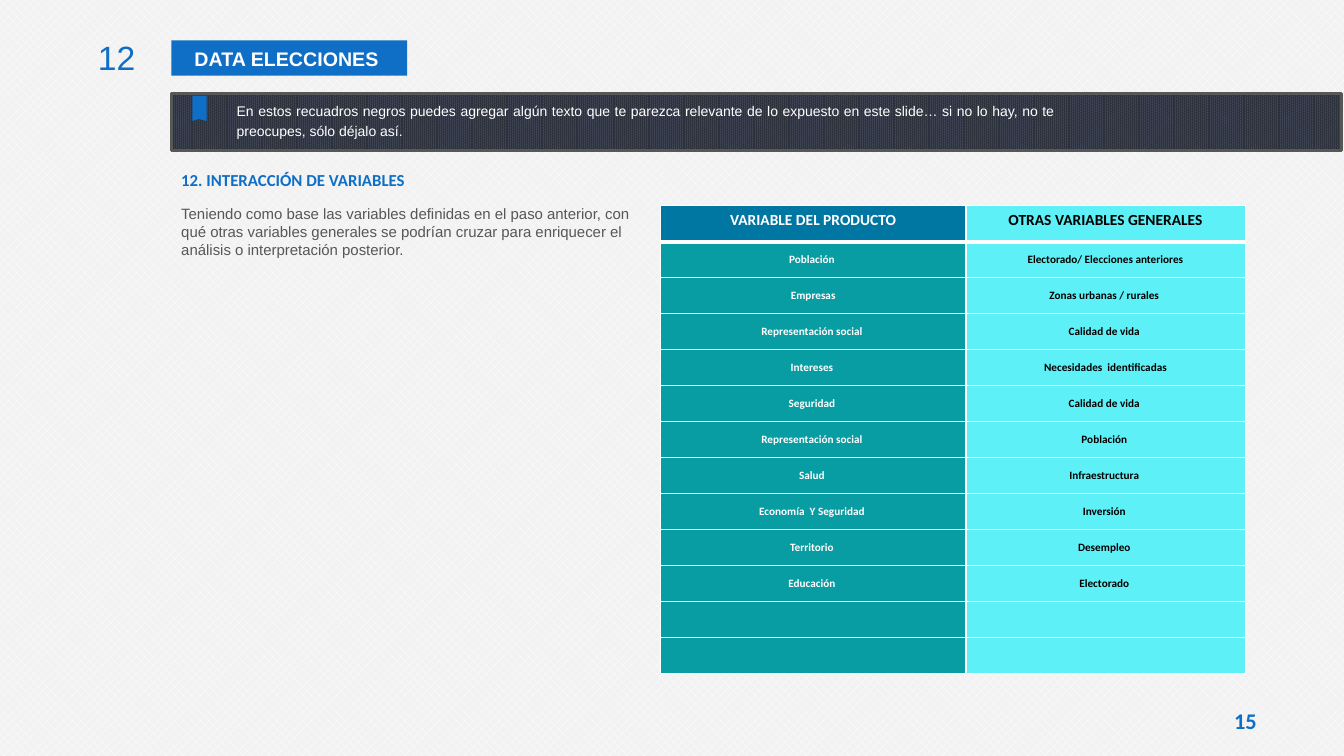
import pptx
import pptx.dml.color
import pptx.enum.dml
import pptx.enum.shapes
import pptx.enum.text
import pptx.oxml
import pptx.oxml.ns
import pptx.util

Pt = pptx.util.Pt
ALIGN = pptx.enum.text.PP_ALIGN
ANCHOR = pptx.enum.text.MSO_ANCHOR
PATTERN = pptx.enum.dml.MSO_PATTERN

COLORS = {
    "blue": "0F6FC6", "white": "FFFFFF", "black": "000000", "gray": "575756",
    "paper": "F2F2F2", "banner": "2D313C", "banner_weave": "444A5A",
    "header": "0076A3", "teal": "089CA3", "cyan": "5EF0F7",
}

TITLE = "DATA ELECCIONES "
SECTION_NUMBER = "12"
PAGE_NUMBER = "15"
BANNER_TEXT = (
    "En estos recuadros negros puedes agregar algún texto que te parezca relevante "
    "de lo expuesto en este slide… si no lo hay, no te preocupes, sólo déjalo así."
)
HEADING = "12. INTERACCIÓN DE VARIABLES"
BODY = (
    "Teniendo como base las variables definidas en el paso anterior, con qué otras "
    "variables generales se podrían cruzar para enriquecer el análisis o "
    "interpretación posterior."
)
VARIABLES = [
    ("VARIABLE DEL PRODUCTO", "OTRAS VARIABLES GENERALES"),
    ("Población ", "Electorado/ Elecciones anteriores"),
    ("Empresas", "Zonas urbanas / rurales "),
    ("Representación social ", "Calidad de vida "),
    ("Intereses ", "Necesidades  identificadas"),
    ("Seguridad ", "Calidad de vida "),
    ("Representación social ", "Población "),
    ("Salud ", "Infraestructura "),
    ("Economía  Y Seguridad ", "Inversión "),
    ("Territorio ", "Desempleo "),
    ("Educación ", "Electorado "),
    ("", ""),
    ("", ""),
]

SLIDE_SIZE = (960, 540)
CONTENT_LEFT = 122.4
BANNER_TOP, BANNER_HEIGHT = 67, 40.3
TABLE_LEFT, TABLE_TOP = 471.8, 147
COLUMN_WIDTHS = (218.2, 199.5)
ROW_HEIGHT = 25.7
BOOKMARK = [(147.6, 68.4), (147.6, 86.4), (141.8, 85), (137.5, 86.4), (137.5, 68.4)]


def rgb(name):
    return pptx.dml.color.RGBColor.from_string(COLORS[name])


def fill_solid(fill, color):
    fill.solid()
    fill.fore_color.rgb = rgb(color)


def fill_pattern(fill, preset, front, back):
    """Fill with a preset pattern, named as in DrawingML."""
    fill.patterned()
    fill.pattern = PATTERN.from_xml(preset)
    fill.fore_color.rgb = rgb(front)
    fill.back_color.rgb = rgb(back)


def write(frame, text, size, color, font="Arial", bold=False, align=ALIGN.LEFT):
    """Put one formatted paragraph in a text frame and return it."""
    paragraph = frame.paragraphs[0]
    paragraph.text = text
    paragraph.alignment = align
    paragraph.font.size = Pt(size)
    paragraph.font.name = font
    paragraph.font.bold = bold
    paragraph.font.color.rgb = rgb(color)
    return paragraph


def add_text(slide, box, *args, **options):
    frame = slide.shapes.add_textbox(*map(Pt, box)).text_frame
    frame.word_wrap = True
    return write(frame, *args, **options)


def set_margins(frame, horizontal, vertical):
    frame.margin_left = frame.margin_right = Pt(horizontal)
    frame.margin_top = frame.margin_bottom = Pt(vertical)


def set_borders(cell, top, bottom):
    """Draw white cell borders, with the top and bottom widths in points."""
    properties = cell._tc.get_or_add_tcPr()
    widths = {"lnL": 1, "lnR": 1, "lnT": top, "lnB": bottom}
    for position, (side, width) in enumerate(widths.items()):
        properties.insert(position, pptx.oxml.parse_xml(
            f'<a:{side} {pptx.oxml.ns.nsdecls("a")} w="{Pt(width)}"><a:solidFill>'
            f'<a:srgbClr val="{COLORS["white"]}"/></a:solidFill></a:{side}>'))


def add_title(slide):
    title = slide.shapes.title
    title.left, title.top, title.width, title.height = map(
        Pt, (CONTENT_LEFT, 28.8, 168.5, 25.2))
    fill_solid(title.fill, "blue")
    frame = title.text_frame
    frame.word_wrap = True
    frame.auto_size = pptx.enum.text.MSO_AUTO_SIZE.NONE
    frame.vertical_anchor = ANCHOR.MIDDLE
    paragraph = write(frame, TITLE, 14, "white", bold=True, align=ALIGN.CENTER)
    paragraph.line_spacing = 1.1


def add_banner(slide):
    banner = slide.shapes.add_shape(
        pptx.enum.shapes.MSO_SHAPE.RECTANGLE,
        *map(Pt, (CONTENT_LEFT, BANNER_TOP, 836, BANNER_HEIGHT)))
    banner.shadow.inherit = False
    fill_pattern(banner.fill, "pct90", "banner", "banner_weave")
    banner.line.color.rgb = rgb("gray")
    banner.line.width = Pt(2)

    builder = slide.shapes.build_freeform(*map(Pt, BOOKMARK[0]))
    builder.add_line_segments([(Pt(x), Pt(y)) for x, y in BOOKMARK[1:]], close=True)
    bookmark = builder.convert_to_shape()
    bookmark.shadow.inherit = False
    fill_solid(bookmark.fill, "blue")
    bookmark.line.fill.background()

    paragraph = add_text(slide, (162, BANNER_TOP, 597.6, BANNER_HEIGHT),
                         BANNER_TEXT, 10, "white", align=ALIGN.JUSTIFY)
    paragraph.line_spacing = 1.2
    paragraph.space_before = Pt(2)


def add_variables_table(slide):
    table = slide.shapes.add_table(
        len(VARIABLES), len(COLUMN_WIDTHS), Pt(TABLE_LEFT), Pt(TABLE_TOP),
        Pt(sum(COLUMN_WIDTHS)), Pt(ROW_HEIGHT * len(VARIABLES))).table
    for column, width in zip(table.columns, COLUMN_WIDTHS):
        column.width = Pt(width)
    for row_index, texts in enumerate(VARIABLES):
        table.rows[row_index].height = Pt(ROW_HEIGHT)
        is_header = row_index == 0
        fills = ("header" if is_header else "teal", "cyan")
        for column_index, text in enumerate(texts):
            cell = table.cell(row_index, column_index)
            fill_solid(cell.fill, fills[column_index])
            set_borders(cell, 3 if row_index == 1 else 1, 3 if is_header else 1)
            if not is_header:
                set_margins(cell, 0, 0)
                cell.vertical_anchor = ANCHOR.MIDDLE
            write(cell.text_frame, text, 11 if is_header else 8,
                  ("white", "black")[column_index], "Calibri", True, ALIGN.CENTER)


def main():
    presentation = pptx.Presentation()
    presentation.slide_width, presentation.slide_height = map(Pt, SLIDE_SIZE)
    slide = presentation.slides.add_slide(presentation.slide_layouts[5])
    fill_pattern(slide.background.fill, "pct40", "white", "paper")

    add_title(slide)
    add_text(slide, (56.2, 23, 47.5, 36), SECTION_NUMBER, 24, "blue", align=ALIGN.RIGHT)
    add_banner(slide)
    add_text(slide, (CONTENT_LEFT, 118, 357, 21.6), HEADING, 12, "blue", "Calibri", True)
    body = add_text(slide, (CONTENT_LEFT, 142.6, 336.2, 46), BODY, 10.7, "gray")
    body.space_before = body.space_after = Pt(6)
    add_variables_table(slide)

    page_box = slide.shapes.add_textbox(*map(Pt, (867.6, 504, 43.9, 23.8)))
    set_margins(page_box.text_frame, 3.6, 1.4)
    write(page_box.text_frame, PAGE_NUMBER, 16, "blue", "Calibri", True, ALIGN.CENTER)
    page_box.text_frame.word_wrap = True

    presentation.save("out.pptx")


if __name__ == "__main__":
    main()
